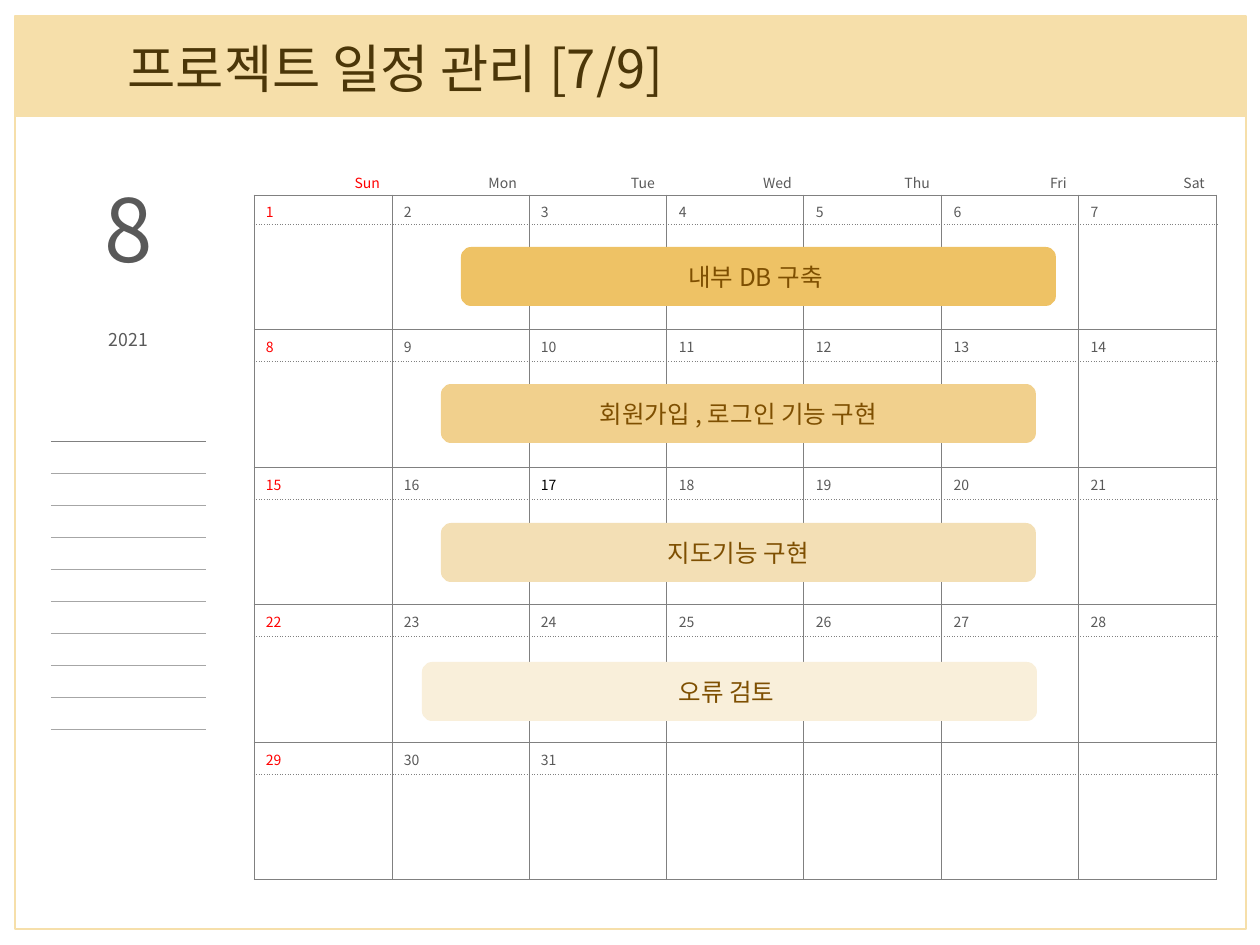
import pptx
import pptx.util
import pptx.oxml.ns
import pptx.dml.color
import pptx.enum.shapes
import pptx.enum.text
from lxml import etree

COLORS = {
    "band": "F6DFAA", "title": "4B3608", "text": "595959", "sunday": "FF0000",
    "today": "000000", "grid": "808080", "rule": "A6A6A6", "bar_text": "7E4F01",
    "database": "EEC265", "login": "F1D08D", "map": "F3DFB5", "review": "F9EFDA",
}
FONT = "Noto Sans CJK KR"
NO_GRID_STYLE = "{2D5ABB26-0587-4C30-8999-92F81FD0307C}"
ALIGN = pptx.enum.text.PP_ALIGN
ANCHOR = pptx.enum.text.MSO_ANCHOR
SHAPES = pptx.enum.shapes.MSO_SHAPE
qn = pptx.oxml.ns.qn


def px(length):
    return pptx.util.Emu(round(length * 914400 / 126))


def rgb(name):
    return pptx.dml.color.RGBColor.from_string(COLORS[name])


class SlideBuilder:
    def __init__(self, slide):
        self.slide = slide
        self.shapes = slide.shapes

    def set_text(self, paragraph, text, size, color, align=ALIGN.LEFT):
        paragraph.text = text
        paragraph.alignment = align
        for run in paragraph.runs:
            run.font.size = pptx.util.Pt(size)
            run.font.name = FONT
            run.font.color.rgb = rgb(color)
            east_asian = etree.SubElement(run.font._element, qn("a:ea"))
            east_asian.set("typeface", FONT)
        if not text:
            end = etree.SubElement(paragraph._p, qn("a:endParaRPr"))
            end.set("sz", str(size * 100))

    def title(self, text, left, top, width, height):
        shape = self.shapes.title
        shape.left, shape.top, shape.width, shape.height = map(px, (left, top, width, height))
        frame = shape.text_frame
        frame.auto_size = pptx.enum.text.MSO_AUTO_SIZE.NONE
        frame.word_wrap = False
        frame.vertical_anchor = ANCHOR.MIDDLE
        self.set_text(frame.paragraphs[0], text, 30, "title")
        self.shapes._spTree.append(shape._element)

    def box(self, left, top, width, height, fill=None, line=None, kind=SHAPES.RECTANGLE):
        shape = self.shapes.add_shape(kind, px(left), px(top), px(width), px(height))
        shape.shadow.inherit = False
        if fill:
            shape.fill.solid()
            shape.fill.fore_color.rgb = rgb(fill)
        else:
            shape.fill.background()
        if line:
            shape.line.color.rgb = rgb(line)
            shape.line.width = pptx.util.Pt(1.5)
        else:
            shape.line.fill.background()
        return shape

    def bar(self, text, left, top, width, fill):
        shape = self.box(left, top, width, 59, fill, kind=SHAPES.ROUNDED_RECTANGLE)
        shape.adjustments[0] = 0.17
        shape.text_frame.vertical_anchor = ANCHOR.MIDDLE
        self.set_text(shape.text_frame.paragraphs[0], text, 14, "bar_text", ALIGN.CENTER)

    def month(self, month, year, left, top, width, height):
        box = self.shapes.add_textbox(px(left), px(top), px(width), px(height))
        frame = box.text_frame
        frame.word_wrap = True
        number, caption = frame.paragraphs[0], frame.add_paragraph()
        self.set_text(number, month, 49.8, "text", ALIGN.CENTER)
        self.set_text(caption, year, 10.1, "text", ALIGN.CENTER)
        number.line_spacing = caption.line_spacing = 1.5
        caption.space_before = pptx.util.Pt(22)

    def table(self, left, top, widths, heights):
        frame = self.shapes.add_table(len(heights), len(widths), px(left), px(top),
                                      px(sum(widths)), px(sum(heights)))
        table = frame.table
        table.first_row = table.horz_banding = False
        table._tbl.tblPr.find(qn("a:tableStyleId")).text = NO_GRID_STYLE
        for column, width in zip(table.columns, widths):
            column.width = px(width)
        for row, height in zip(table.rows, heights):
            row.height = px(height)
        return table

    def cell(self, cell, text, color, align, borders):
        cell.margin_left = cell.margin_right = px(12)
        cell.margin_top, cell.margin_bottom = px(6), 0
        self.set_text(cell.text_frame.paragraphs[0], text, 8, color, align)
        properties = cell._tc.get_or_add_tcPr()
        for side in "LRTB":
            line = etree.SubElement(properties, qn(f"a:ln{side}"))
            if side not in borders:
                etree.SubElement(line, qn("a:noFill"))
                continue
            line_color, dash = borders[side]
            line.set("w", str(pptx.util.Pt(0.5)))
            fill = etree.SubElement(line, qn("a:solidFill"))
            etree.SubElement(fill, qn("a:srgbClr")).set("val", COLORS[line_color])
            etree.SubElement(line, qn("a:prstDash")).set("val", dash)
        cell.fill.background()

    def calendar(self, left, top, weekdays, days, today):
        widths = [138 - index % 2 for index in range(7)]
        table = self.table(left, top, widths, [29, 29, 106] + [32, 106, 32, 105] * 2)
        solid, dotted = ("grid", "solid"), ("grid", "sysDot")
        date_borders = dict(L=solid, R=solid, T=solid, B=dotted)
        space_borders = dict(L=solid, R=solid, T=dotted, B=solid)
        for column, weekday in enumerate(weekdays):
            color = "text" if column else "sunday"
            self.cell(table.cell(0, column), weekday, color, ALIGN.RIGHT, {"B": solid})
            for week in range(5):
                day = week * 7 + column + 1
                text = str(day) if day <= days else ""
                day_color = "today" if day == today else color
                row = week * 2 + 1
                self.cell(table.cell(row, column), text, day_color, ALIGN.LEFT, date_borders)
                self.cell(table.cell(row + 1, column), "", color, ALIGN.LEFT, space_borders)

    def note_lines(self, left, top, width, count, pitch):
        table = self.table(left, top, [width], [pitch] * count)
        for row in range(count):
            borders = {"T": ("rule" if row else "grid", "solid")}
            if row < count - 1:
                borders["B"] = ("rule", "solid")
            self.cell(table.cell(row, 0), "", "text", ALIGN.LEFT, borders)


def main():
    presentation = pptx.Presentation()
    presentation.slide_width, presentation.slide_height = px(1260), px(945)
    builder = SlideBuilder(presentation.slides.add_slide(presentation.slide_layouts[5]))
    builder.box(15, 16, 1231, 101, fill="band")
    builder.box(15, 16, 1231, 913, line="band")
    builder.title("프로젝트 일정 관리 [7/9]", 115, 30, 595, 75)
    builder.calendar(254, 166, ["Sun", "Mon", "Tue", "Wed", "Thu", "Fri", "Sat"], 31, 17)
    builder.month("8", "2021", 64, 117, 129, 233)
    builder.note_lines(51, 441, 155, 10, 32)
    bars = [
        ("내부 DB 구축 ", 461, 247, 595, "database"),
        ("오류 검토 ", 422, 662, 615, "review"),
        ("회원가입 , 로그인 기능 구현", 441, 384, 595, "login"),
        ("지도기능 구현", 441, 523, 595, "map"),
    ]
    for bar in bars:
        builder.bar(*bar)
    presentation.save("out.pptx")


if __name__ == "__main__":
    main()
